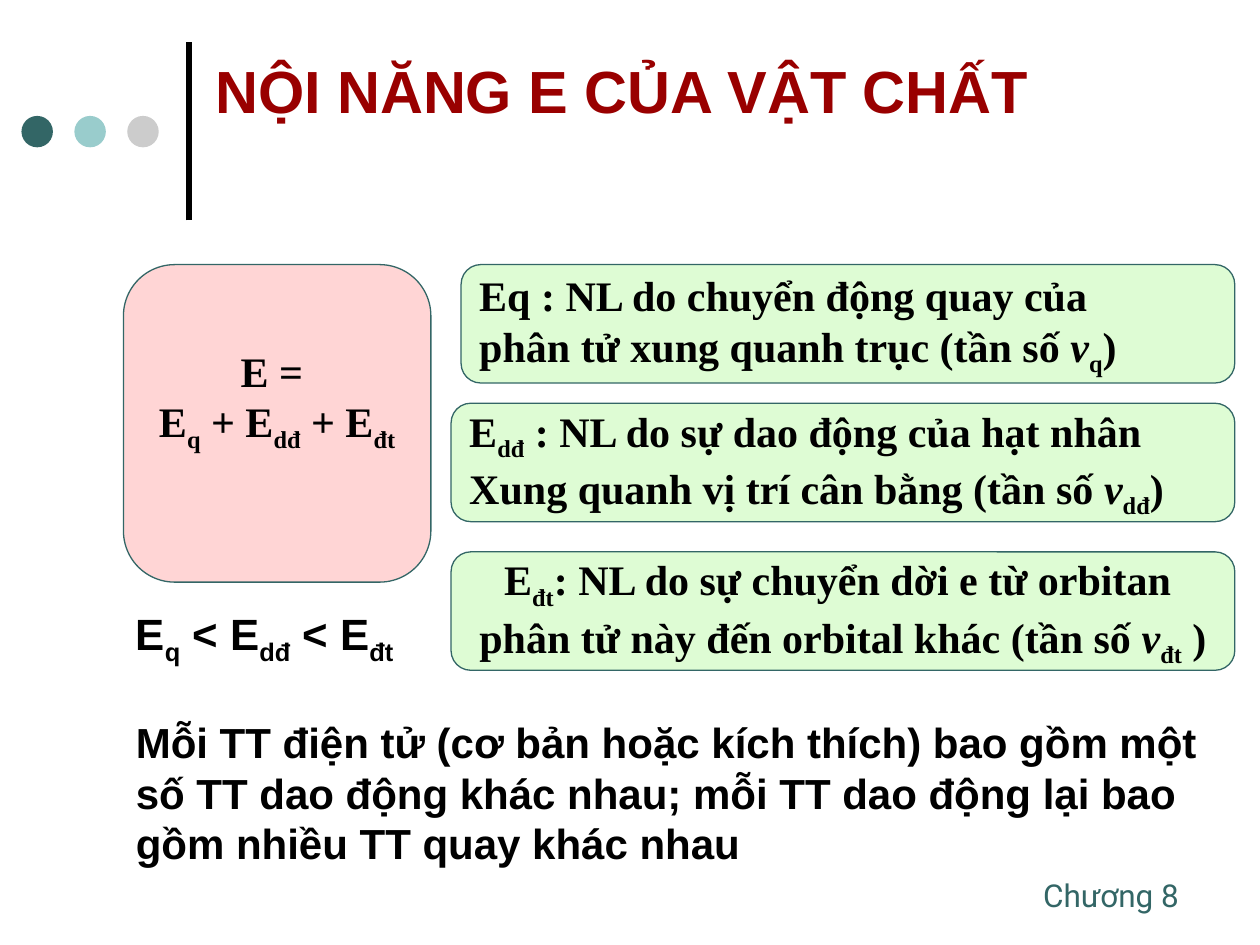
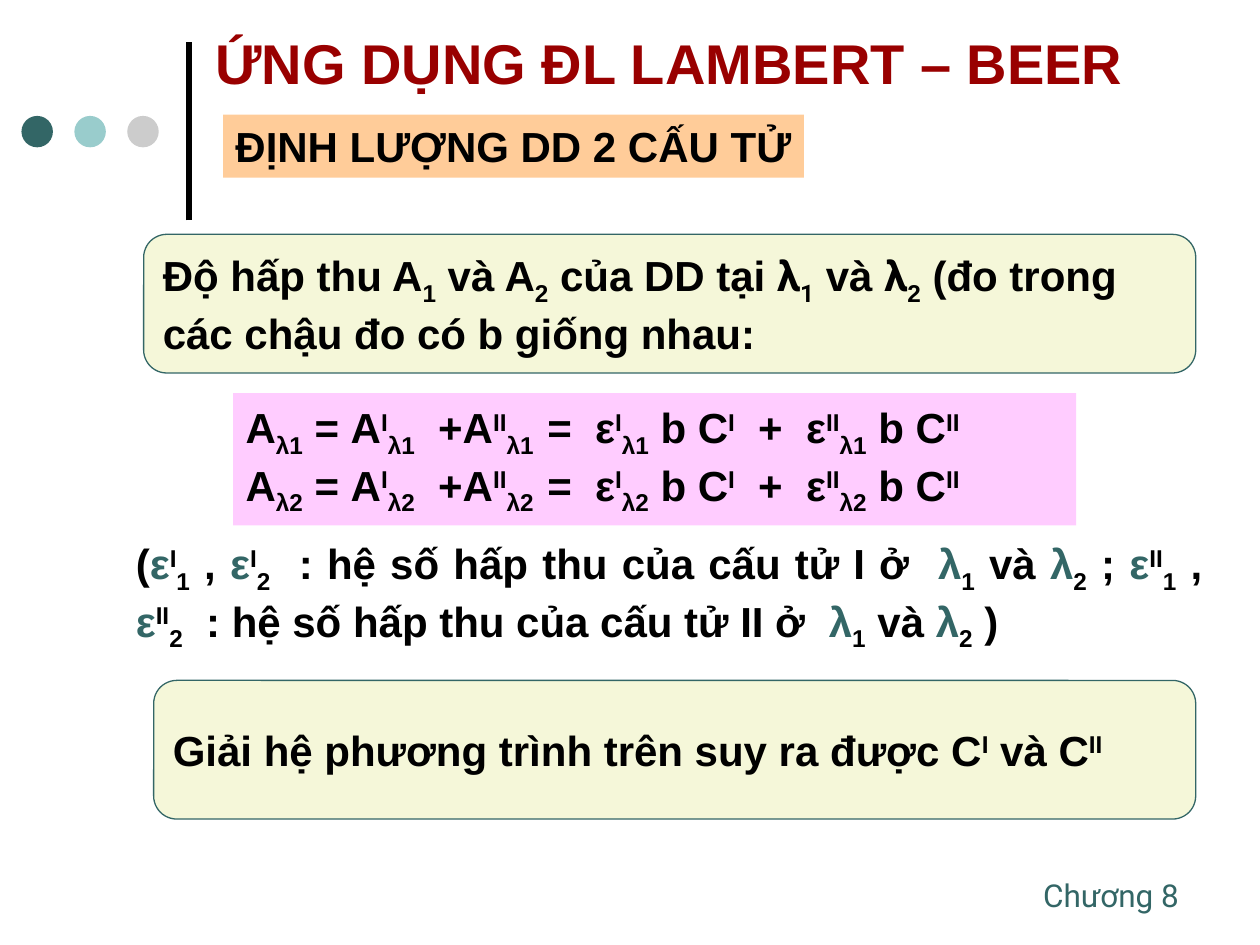
import pptx
import pptx.dml.color
import pptx.enum.shapes
import pptx.enum.text
import pptx.oxml.ns
import pptx.util
from lxml import etree

RGB = pptx.dml.color.RGBColor
KIND = pptx.enum.shapes.MSO_SHAPE
ALIGN = pptx.enum.text.PP_ALIGN
ANCHOR = pptx.enum.text.MSO_ANCHOR

BLACK = RGB(0x00, 0x00, 0x00)
TEAL = RGB(0x33, 0x66, 0x66)
AQUA = RGB(0x99, 0xCC, 0xCC)
GREY = RGB(0xCC, 0xCC, 0xCC)
RED = RGB(0x99, 0x00, 0x00)
GREEN = RGB(0xDE, 0xFC, 0xD4)
PINK = RGB(0xFF, 0xD5, 0xD5)
LILAC = RGB(0xFF, 0xCC, 0xFF)
PEACH = RGB(0xFF, 0xCC, 0x99)
CREAM = RGB(0xF5, 0xF7, 0xD9)
SERIF = "Times New Roman"
SHIFT = {"_": -25000, "^": 30000}

deck = pptx.Presentation()
deck.slide_width = pptx.util.Inches(10)
deck.slide_height = pptx.util.Inches(7.5)


def area(x, y, w, h):
    """Turn percent shares of the slide into lengths."""
    wide, high = deck.slide_width / 100, deck.slide_height / 100
    return int(x * wide), int(y * high), int(w * wide), int(h * high)


def block(slide, share, lines=(), kind=None, fill=None, edge=False, size=24,
          font="Arial", color=BLACK, bold=True, align=ALIGN.LEFT,
          anchor=ANCHOR.MIDDLE, wrap=True):
    """Add a box of text; runs are split by | and led by marks:
    _ low, ^ high, / italic, # teal, ~ Roboto."""
    if kind is None:
        shape = slide.shapes.add_textbox(*area(*share))
    else:
        shape = slide.shapes.add_shape(kind, *area(*share))
        shape.shadow.inherit = False
        shape.fill.solid()
        shape.fill.fore_color.rgb = fill
        if edge:
            shape.line.color.rgb = TEAL
            shape.line.width = pptx.util.Pt(0.75)
        else:
            shape.line.fill.background()
    frame = shape.text_frame
    frame.word_wrap = wrap
    frame.vertical_anchor = anchor
    for i, line in enumerate(lines):
        para = frame.add_paragraph() if i else frame.paragraphs[0]
        para.alignment = align
        for part in line.split("|"):
            text = part.lstrip("_^/#~")
            marks = part[:len(part) - len(text)]
            run = para.add_run()
            run.text = text
            run.font.size = pptx.util.Pt(size)
            run.font.bold = bold
            run.font.italic = "/" in marks
            run.font.name = "Roboto" if "~" in marks else font
            run.font.color.rgb = TEAL if "#" in marks else color
            for mark in marks:
                if mark in SHIFT:
                    run.font._element.set("baseline", str(SHIFT[mark]))
    return shape


# Frame and title of each slide
heads = [
    ("NỘI NĂNG E CỦA VẬT CHẤT", 34, (16.1, 3.73, 75.6, 11.47)),
    ("ỨNG DỤNG ĐL LAMBERT – BEER", 32, (16.1, 0, 77.2, 13.2)),
]
slides = []
for title, size, share in heads:
    slide = deck.slides.add_slide(deck.slide_layouts[6])
    slides.append(slide)
    left, top, _, high = area(15, 4.4, 0, 18.93)
    rule = slide.shapes.add_connector(
        pptx.enum.shapes.MSO_CONNECTOR.STRAIGHT, left, top + high, left, top)
    rule.line.color.rgb = BLACK
    rule.line.width = pptx.util.Pt(3)
    etree.SubElement(rule._element.spPr, pptx.oxml.ns.qn("a:effectLst"))
    for col, tint in enumerate((TEAL, AQUA, GREY)):
        block(slide, (1.7 + 4.2 * col, 12.27, 2.5, 3.33),
              kind=KIND.OVAL, fill=tint)
    block(slide, (81.8, 92, 13.5, 5.33), ["Chương 8"], size=18,
          font="Roboto", color=TEAL, bold=False, anchor=ANCHOR.TOP)
    block(slide, share, [title], size=size, color=RED)

energy, beer = slides

# Slide 1: parts of the inner energy
block(energy, (9.8, 63.6, 26, 7.73), ["E|_q| < E|_dđ| < E|_đt"],
      size=25, anchor=ANCHOR.TOP)
block(energy, (9.8, 75.2, 87.4, 17.33),
      ["Mỗi TT điện tử (cơ bản hoặc kích thích) bao gồm một số TT dao động "
       "khác nhau; mỗi TT dao động lại bao gồm nhiều TT quay khác nhau"],
      anchor=ANCHOR.TOP)
terms = [
    (36.6, 28, ALIGN.LEFT,
     ["Eq : NL do chuyển động quay của",
      "phân tử xung quanh trục (tần số |/ν|_q|)"]),
    (35.8, 42.67, ALIGN.LEFT,
     ["E|_dđ| : NL do sự dao động của hạt nhân",
      "Xung quanh vị trí cân bằng (tần số |/ν|_dđ|)"]),
    (35.8, 58.4, ALIGN.CENTER,
     ["E|_đt|: NL do sự chuyển dời e từ orbitan ",
      "phân tử này đến orbital khác (tần số |/ν|_đt| )"]),
]
for x, y, align, lines in terms:
    block(energy, (x, y, 98 - x, 12.53), lines, KIND.ROUNDED_RECTANGLE,
          GREEN, True, font=SERIF, align=align, wrap=False)
total = block(energy, (9.8, 28, 24.4, 33.6),
              ["E = ", "E|_q| + E|_dđ| + E|_đt"],
              KIND.FLOWCHART_ALTERNATE_PROCESS, PINK, True,
              font=SERIF, align=ALIGN.CENTER, wrap=False)
total.text_frame.margin_bottom = pptx.util.Inches(0.43)

# Slide 2: two solutes measured at two wavelengths
sums = [f"A|_λ{n}| = A|^I|_λ{n}|  +A|^II|_λ{n}  |=  ε|^I|_λ{n}| b C|^I"
        f"|  +  ε|^II|_λ{n}| b C|^II" for n in (1, 2)]
block(beer, (18.5, 41.6, 66.9, 14), sums, KIND.RECTANGLE, LILAC)
notes = [f"#ε|^{n}|_1| , |#ε|^{n}|_2|  : hệ số hấp thu của cấu tử {n} ở  "
         "|#λ|_1| và |#λ|_2" for n in ("I", "II")]
block(beer, (9.8, 56.27, 86.6, 13.47), ["(|" + "| ; |".join(notes) + "| )"],
      align=ALIGN.JUSTIFY, anchor=ANCHOR.TOP)
block(beer, (17.7, 12.13, 46.1, 6.67), ["ĐỊNH LƯỢNG DD 2 CẤU TỬ"],
      KIND.RECTANGLE, PEACH, anchor=ANCHOR.TOP, wrap=False)
steps = [
    (11.4, 24.8, ["Độ hấp thu A|_1| và A|_2| của DD tại |~λ|~_1| và |~λ|_2"
                  "| (đo trong ", "các chậu đo có b giống nhau:"]),
    (12.2, 72, ["Giải hệ phương trình trên suy ra được C|^I| và C|^II"]),
]
for x, y, lines in steps:
    block(beer, (x, y, 94.9 - x, 14.67), lines, KIND.ROUNDED_RECTANGLE,
          CREAM, True, wrap=False)

deck.save("out.pptx")
